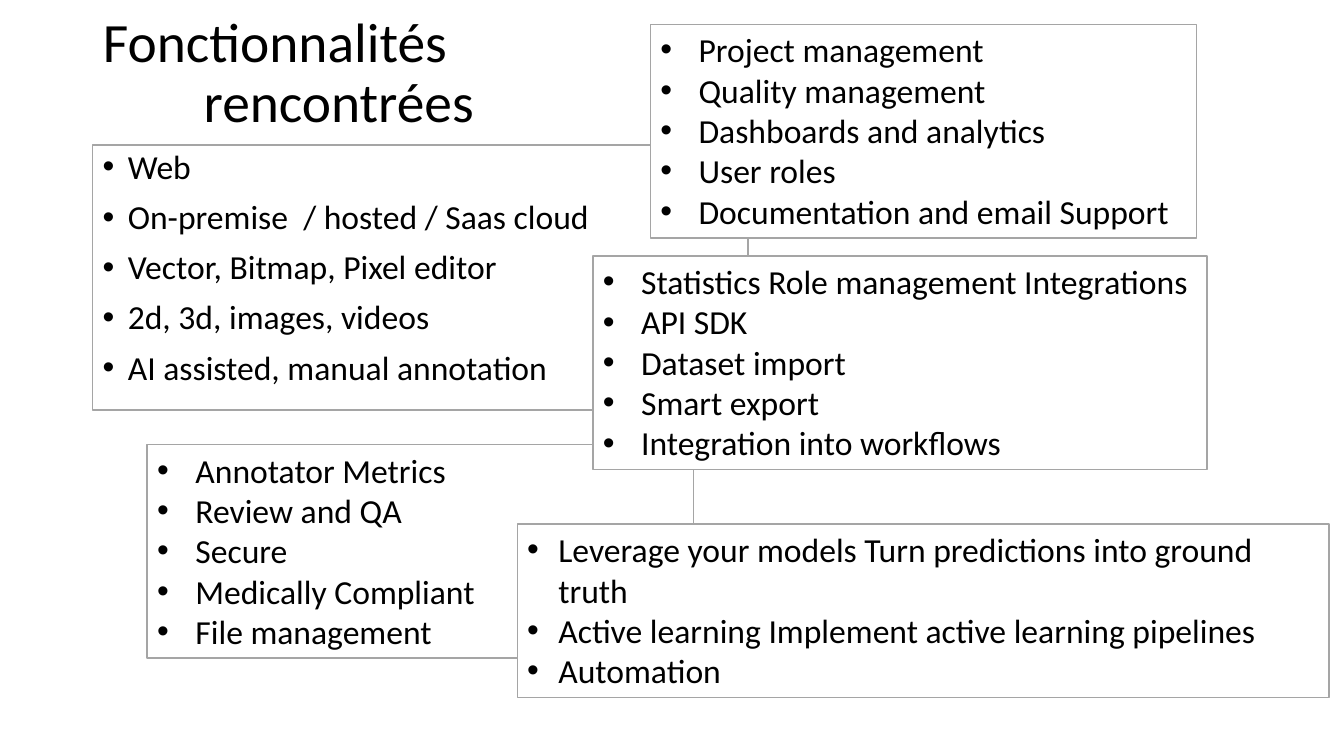
import pptx
import pptx.dml.color
import pptx.enum.text
import pptx.oxml.ns
import pptx.util
import lxml.etree
from dataclasses import dataclass

Inches = pptx.util.Inches
Pt = pptx.util.Pt


@dataclass(frozen=True)
class Theme:
    font: str = "Calibri"
    text: str = "000000"
    panel: str = "FFFFFF"
    border: str = "A5A5A5"
    title_size: float = 39.6
    list_size: float = 24


THEME = Theme()
TITLE_LINES = ["Fonctionnalités", "rencontrées"]
TITLE_BOX = (0.92, 0.31, 11.5, 0.86)
TITLE_INDENT = 1

PANELS = [
    {"box": (0.92, 1.44, 6.5, 2.63), "indent": 0.25, "line_spacing": 0.9, "space_before": 10,
     "items": ["Web", "On-premise  / hosted / Saas cloud", "Vector, Bitmap, Pixel editor",
               "2d, 3d, images, videos", "AI assisted, manual annotation"]},
    {"box": (6.45, 0.24, 5.42, 2.12), "indent": 0.38,
     "items": ["Project management", "Quality management", "Dashboards and analytics",
               "User roles", "Documentation and email Support"]},
    {"box": (1.46, 4.41, 5.42, 2.12), "indent": 0.38,
     "items": ["Annotator Metrics", "Review and QA", "Secure", "Medically Compliant",
               "File management"]},
    {"box": (5.88, 2.54, 6.09, 2.12), "indent": 0.38,
     "items": ["Statistics Role management Integrations", "API SDK", "Dataset import",
               "Smart export", "Integration into workflows"]},
    {"box": (5.13, 5.2, 8.05, 1.72), "indent": 0.31,
     "items": ["Leverage your models Turn predictions into ground truth",
               "Active learning Implement active learning pipelines", "Automation"]},
]


def color(value):
    return pptx.dml.color.RGBColor.from_string(value)


def add_run(paragraph, text, size):
    run = paragraph.add_run()
    run.text = text
    run.font.name = THEME.font
    run.font.size = Pt(size)
    run.font.color.rgb = color(THEME.text)


def hang(paragraph, indent):
    properties = paragraph._p.get_or_add_pPr()
    properties.set("marL", str(Inches(indent)))
    properties.set("indent", str(-Inches(indent)))
    return properties


def add_title(slide):
    title = slide.shapes.title
    title.left, title.top, title.width, title.height = map(Inches, TITLE_BOX)
    frame = title.text_frame
    frame.word_wrap = True
    frame.auto_size = pptx.enum.text.MSO_AUTO_SIZE.NONE
    frame.vertical_anchor = pptx.enum.text.MSO_ANCHOR.MIDDLE
    paragraph = frame.paragraphs[0]
    paragraph.alignment = pptx.enum.text.PP_ALIGN.LEFT
    paragraph.line_spacing = 0.9
    hang(paragraph, TITLE_INDENT)
    for index, line in enumerate(TITLE_LINES):
        if index:
            paragraph.add_line_break()
        add_run(paragraph, line, THEME.title_size)


def add_panel(slide, panel):
    shape = slide.shapes.add_textbox(*map(Inches, panel["box"]))
    shape.fill.solid()
    shape.fill.fore_color.rgb = color(THEME.panel)
    shape.line.color.rgb = color(THEME.border)
    shape.line.width = Pt(1)
    frame = shape.text_frame
    frame.word_wrap = True
    for index, item in enumerate(panel["items"]):
        paragraph = frame.add_paragraph() if index else frame.paragraphs[0]
        paragraph.line_spacing = panel.get("line_spacing", 1.0)
        paragraph.space_before = Pt(panel.get("space_before", 0))
        properties = hang(paragraph, panel["indent"])
        bullet_font = lxml.etree.SubElement(properties, pptx.oxml.ns.qn("a:buFont"))
        bullet_font.set("typeface", "Arial")
        bullet = lxml.etree.SubElement(properties, pptx.oxml.ns.qn("a:buChar"))
        bullet.set("char", "•")
        add_run(paragraph, item, THEME.list_size)


presentation = pptx.Presentation()
presentation.slide_width = Inches(13.33)
presentation.slide_height = Inches(7.5)
slide = presentation.slides.add_slide(presentation.slide_layouts.get_by_name("Title Only"))
add_title(slide)
for panel in PANELS:
    add_panel(slide, panel)
presentation.save("out.pptx")
